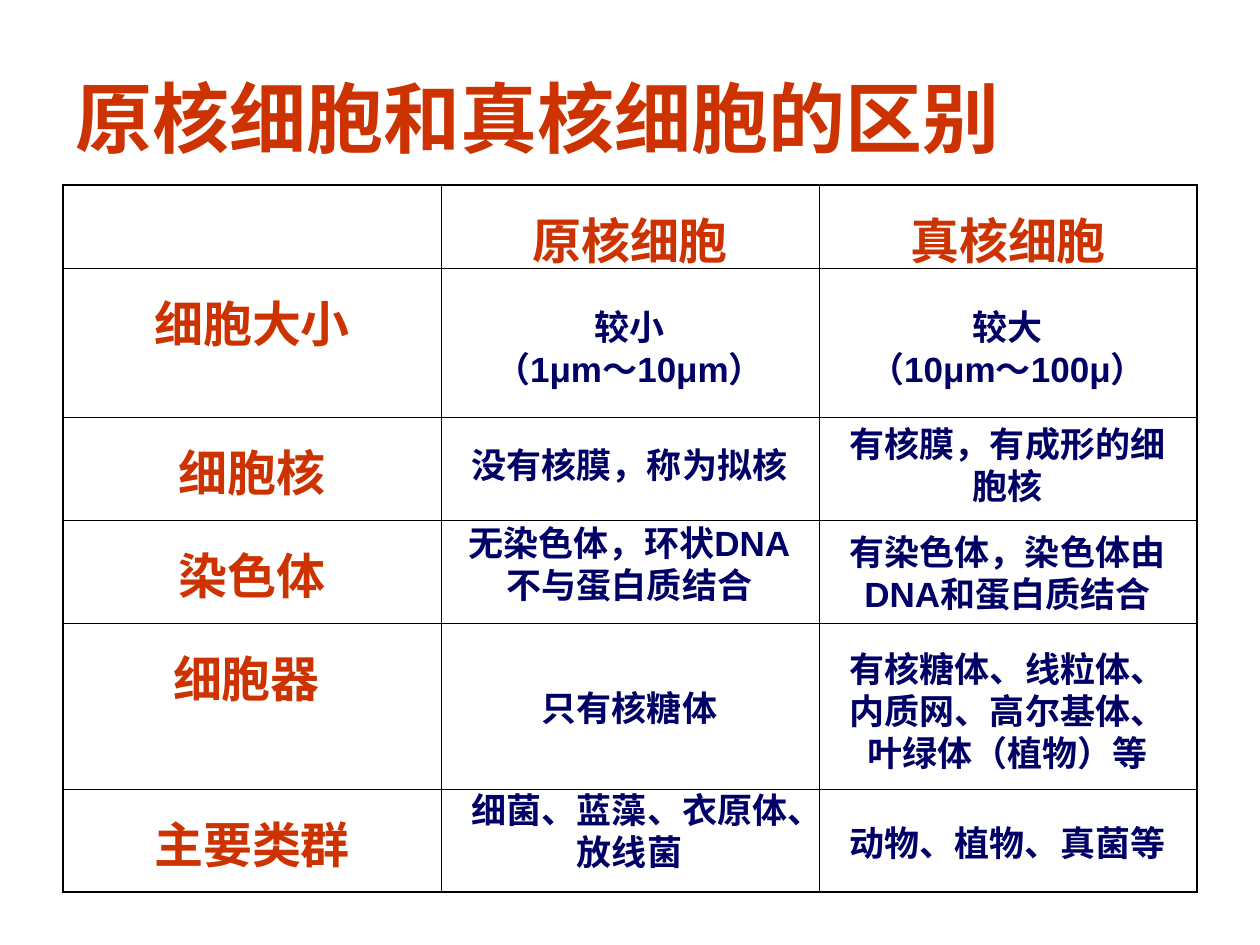
from lxml import etree
from pptx import Presentation
from pptx import util as u
from pptx.dml.color import RGBColor
from pptx.enum import text
from pptx.oxml.ns import qn

RED = RGBColor(0xCC, 0x33, 0x00)
NAVY = RGBColor(0x00, 0x00, 0x66)
BLACK = RGBColor(0x00, 0x00, 0x00)
THIN, THICK = 0.45, 1.08
COL_W = 378
ROW_H = [79, 149, 103, 103, 166, 103]
HEADS = ["原核细胞", "真核细胞"]
LABELS = ["细胞大小", "细胞核", "染色体", "细胞器 ", "主要类群"]
NOTE_GAP, NOTE_W = 10, 357
NOTES = [
    (1, 114, 97, ["较小", "（1μm～10μm）"]),
    (2, 114, 97, ["较大", "（10μm～100μ）"]),
    (1, 252, 55, ["没有核膜，称为拟核"]),
    (2, 231, 97, ["有核膜，有成形的细胞核"]),
    (1, 330, 97, ["无染色体，环状DNA不与蛋白质结合"]),
    (2, 339, 97, ["有染色体，染色体由DNA和蛋白质结合"]),
    (1, 495, 55, ["只有核糖体"]),
    (2, 456, 139, ["有核糖体、线粒体、内质网、高尔基体、叶绿体（植物）等"]),
    (1, 597, 97, ["细菌、蓝藻、衣原体、放线菌"]),
    (2, 630, 55, ["动物、植物、真菌等"]),
]


def px(n):
    return u.Emu(round(n * 914400 / 126))


def style(p, size, color, align):
    p.alignment = align
    p.font.name = "Arial"
    p.font.size = u.Pt(size)
    p.font.bold = True
    p.font.color.rgb = color


def add_text(s, box, lines, size, color, align, anchor):
    tf = s.shapes.add_textbox(*map(px, box)).text_frame
    tf.word_wrap = True
    tf.vertical_anchor = anchor
    for i, line in enumerate(lines):
        p = tf.add_paragraph() if i else tf.paragraphs[0]
        p.text = line
        style(p, size, color, align)


def set_borders(cell, widths):
    tc_pr = cell._tc.get_or_add_tcPr()
    for i, (side, width) in enumerate(zip("LRTB", widths)):
        ln = etree.Element(qn(f"a:ln{side}"), w=str(u.Pt(width)))
        fill = etree.SubElement(ln, qn("a:solidFill"))
        etree.SubElement(fill, qn("a:srgbClr"), val=str(BLACK))
        tc_pr.insert(i, ln)


def add_title(s, box):
    add_text(s, box, ["原核细胞和真核细胞的区别"], 44, RED,
             text.PP_ALIGN.LEFT, text.MSO_ANCHOR.MIDDLE)


def add_grid(s, box):
    rows, cols = len(ROW_H), len(HEADS) + 1
    table = s.shapes.add_table(rows, cols, *map(px, box)).table
    table.first_row = table.horz_banding = False
    for col in table.columns:
        col.width = px(COL_W)
    for r, height in enumerate(ROW_H):
        table.rows[r].height = px(height)
        for c in range(cols):
            cell = table.cell(r, c)
            cell.fill.background()
            edges = (c == 0, c == cols - 1, r == 0, r == rows - 1)
            set_borders(cell, [THICK if edge else THIN for edge in edges])
    headings = [(0, c, t) for c, t in enumerate(HEADS, 1)]
    headings += [(r, 0, t) for r, t in enumerate(LABELS, 1)]
    for r, c, t in headings:
        cell = table.cell(r, c)
        cell.margin_top = px(18)
        cell.text = t
        style(cell.text_frame.paragraphs[0], 28, RED, text.PP_ALIGN.CENTER)


def add_notes(s, box):
    left, top = box[:2]
    for col, dy, height, lines in NOTES:
        note = (left + col * COL_W + NOTE_GAP, top + dy, NOTE_W, height)
        add_text(s, note, lines, 20, NAVY,
                 text.PP_ALIGN.CENTER, text.MSO_ANCHOR.TOP)


def main():
    prs = Presentation()
    prs.slide_width, prs.slide_height = px(1260), px(945)
    s = prs.slides.add_slide(prs.slide_layouts[6])
    grid = (63, 185, 3 * COL_W, sum(ROW_H))
    add_title(s, (63, 38, 1134, 158))
    add_grid(s, grid)
    add_notes(s, grid)
    prs.save("out.pptx")


if __name__ == "__main__":
    main()
